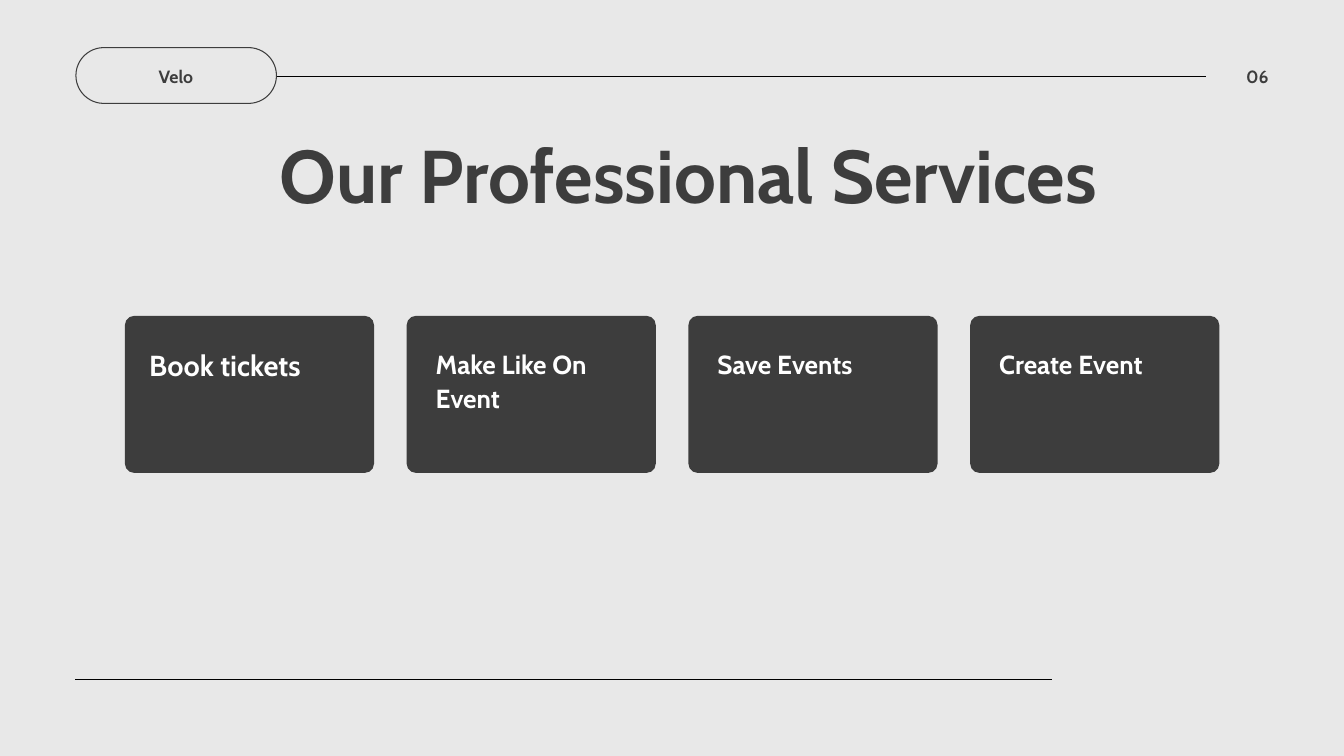
from pptx import Presentation
from pptx.dml.color import RGBColor
from pptx.enum import shapes, text
from pptx.oxml.ns import qn
from pptx.util import Cm, Pt

DARK = RGBColor(0x3D, 0x3D, 0x3D)
BLACK = RGBColor(0, 0, 0)
WHITE = RGBColor(0xFF, 0xFF, 0xFF)
BACKGROUND = RGBColor(0xE8, 0xE8, 0xE8)

presentation = Presentation()
presentation.slide_width = Cm(50.8)
presentation.slide_height = Cm(28.58)
slide = presentation.slides.add_slide(presentation.slide_layouts[6])
slide.background.fill.solid()
slide.background.fill.fore_color.rgb = BACKGROUND


def add_label(words, left, top, width, height, size, spacing, color=DARK,
              alignment=text.PP_ALIGN.LEFT):
    """Add a bold text box without margins; spacing is the line height in points."""
    box = slide.shapes.add_textbox(Cm(left), Cm(top), Cm(width), Cm(height))
    frame = box.text_frame
    frame.word_wrap = True
    frame.auto_size = text.MSO_AUTO_SIZE.SHAPE_TO_FIT_TEXT
    frame.margin_left = frame.margin_right = frame.margin_top = frame.margin_bottom = 0
    paragraph = frame.paragraphs[0]
    paragraph.text = words
    paragraph.alignment = alignment
    paragraph.line_spacing = Pt(spacing)
    paragraph.font.name = "Cabin"
    paragraph.font.size = Pt(size)
    paragraph.font.bold = True
    paragraph.font.color.rgb = color


def add_rounded(left, top, width, height, roundness):
    shape = slide.shapes.add_shape(shapes.MSO_SHAPE.ROUNDED_RECTANGLE,
                                   Cm(left), Cm(top), Cm(width), Cm(height))
    shape.adjustments[0] = roundness
    shape.shadow.inherit = False
    return shape


# Service cards: label, text inset from the left, text top, height, size, line height
CARD_LEFT, CARD_TOP, CARD_PITCH = 4.72, 11.94, 10.65
services = [
    ("Book tickets", 0.92, 13.02, 1.4, 31, 40.3),
    ("Make Like On Event", 1.1, 13.08, 2.54, 28, 36.4),
    ("Save Events", 1.1, 13.08, 1.27, 28, 36.4),
    ("Create Event", 1.1, 13.08, 1.27, 28, 36.4),
]
for index, (service, inset, top, height, size, spacing) in enumerate(services):
    left = CARD_LEFT + index * CARD_PITCH
    card = add_rounded(left, CARD_TOP, 9.42, 5.94, 0.06)
    card.fill.solid()
    card.fill.fore_color.rgb = DARK
    card.line.fill.background()
    add_label(service, left + inset, top, 7.39, height, size, spacing, WHITE)

add_label("Our Professional Services", 6.45, 4.88, 39.14, 3.43, 80, 96,
          alignment=text.PP_ALIGN.CENTER)

# Header pill
pill = add_rounded(2.87, 1.8, 7.58, 2.11, 0.5)
pill.fill.background()
pill.line.color.rgb = DARK
pill.line.width = Pt(1.1)

# Header and footer rules
for left, right, y in [(10.46, 45.59, 2.87), (2.84, 39.75, 25.7)]:
    rule = slide.shapes.add_connector(shapes.MSO_CONNECTOR.STRAIGHT,
                                      Cm(left), Cm(y), Cm(right), Cm(y))
    rule.line.color.rgb = BLACK
    rule.line.width = Pt(0.75)
    properties = rule._element.spPr
    properties.append(properties.makeelement(qn("a:effectLst"), {}))

add_label("Velo", 3.45, 2.29, 6.4, 0.97, 19, 28.5, alignment=text.PP_ALIGN.CENTER)
add_label("06", 46.91, 2.29, 1.04, 0.97, 19, 28.5, alignment=text.PP_ALIGN.RIGHT)

presentation.save("out.pptx")
